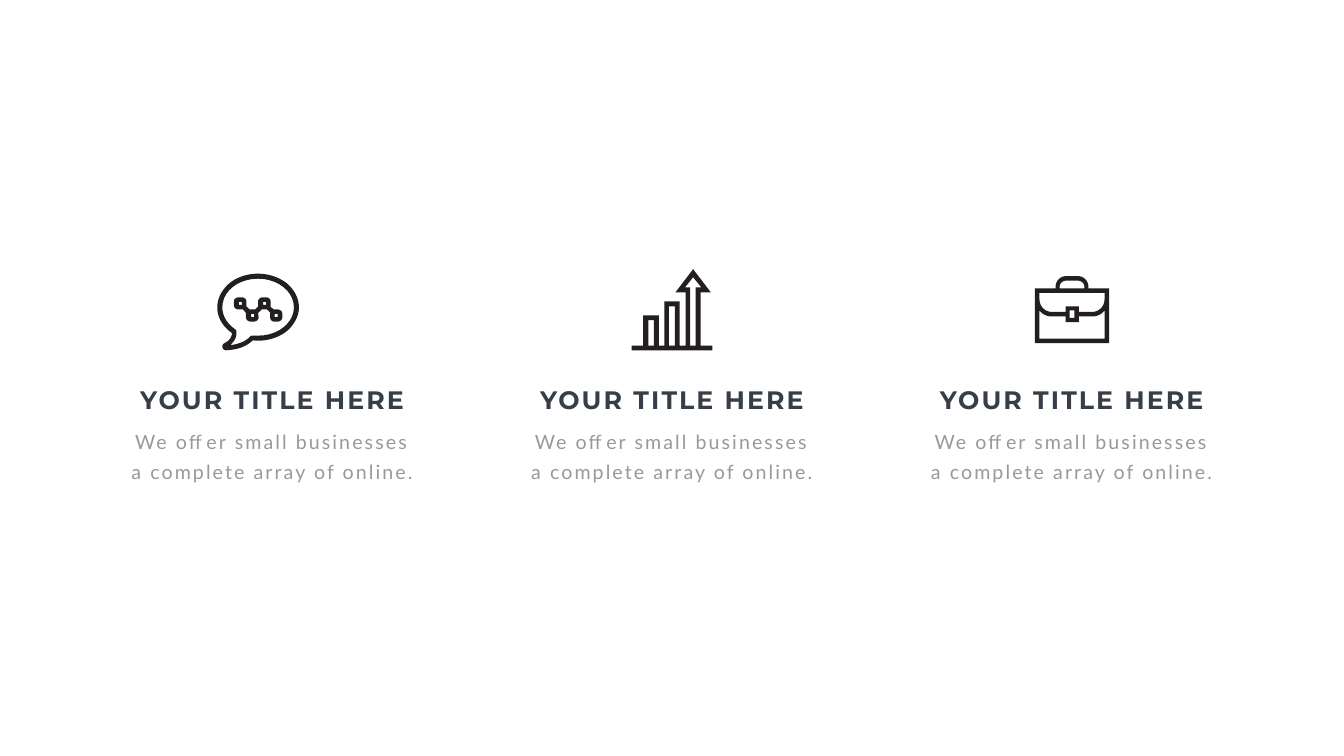
"""Build a slide with three icon-topped service columns."""
from pptx import Presentation
from pptx.dml.color import RGBColor
from pptx.enum.text import MSO_AUTO_SIZE, PP_ALIGN
from pptx.util import Inches, Pt

COLORS = {"icon": "231F20", "title": "363E48", "body": "999999"}
CURVE_STEPS = 10


def box(left, top, right, bottom):
    return [(left, top), (right, top), (right, bottom), (left, bottom)]


def draw_icon(slide, contours):
    builder = None
    for start, *segments in contours:
        points = [start]
        for segment in segments:
            if len(segment) == 2:
                points.append(segment)
                continue
            x0, y0 = points[-1]
            x1, y1, x2, y2, x3, y3 = segment
            for step in range(1, CURVE_STEPS + 1):
                t = step / CURVE_STEPS
                a, b, c, d = (1 - t) ** 3, 3 * t * (1 - t) ** 2, 3 * t * t * (1 - t), t ** 3
                points.append((a * x0 + b * x1 + c * x2 + d * x3,
                               a * y0 + b * y1 + c * y2 + d * y3))
        corners = [(Inches(x), Inches(y)) for x, y in points]
        if builder is None:
            builder = slide.shapes.build_freeform(*corners[0], scale=1.0)
        else:
            builder.move_to(*corners[0])
        builder.add_line_segments(corners[1:], close=True)
    icon = builder.convert_to_shape()
    icon.shadow.inherit = False
    icon.fill.solid()
    icon.fill.fore_color.rgb = RGBColor.from_string(COLORS["icon"])
    icon.line.fill.background()


prs = Presentation()
prs.slide_width, prs.slide_height = Inches(26.66), Inches(15)
slide = prs.slides.add_slide(prs.slide_layouts[6])

texts = [
    ("YOUR TITLE HERE", 7.57, 5.86, 0.71, 0.1, 0.05, "Montserrat", 36, True, "title", None),
    ("We offer small businesses a complete array of online.",
     8.28, 6.2, 1.38, 0.24, 0.12, "Lato", 28, False, "body", Pt(43)),
]
for wording, top, width, height, side, edge, font, size, bold, color, spacing in texts:
    for column in range(3):
        center = 5.4 + 7.93 * column
        frame = slide.shapes.add_textbox(
            Inches(center - width / 2), Inches(top), Inches(width), Inches(height)).text_frame
        frame.word_wrap = True
        frame.auto_size = MSO_AUTO_SIZE.SHAPE_TO_FIT_TEXT
        frame.margin_left = frame.margin_right = Inches(side)
        frame.margin_top = frame.margin_bottom = Inches(edge)
        paragraph = frame.paragraphs[0]
        paragraph.alignment = PP_ALIGN.CENTER
        paragraph.line_spacing = spacing
        run = paragraph.add_run()
        run.text = wording
        run.font.name, run.font.size, run.font.bold = font, Pt(size), bold
        run.font.color.rgb = RGBColor.from_string(COLORS[color])
        run.font._element.set("spc", "300")

bubble_inside = [
    (5.12, 6.66), (5.08, 6.66, 5.05, 6.66, 5.01, 6.66), (4.99, 6.66, 4.98, 6.66, 4.96, 6.68),
    (4.9, 6.74, 4.82, 6.79, 4.74, 6.81), (4.69, 6.83, 4.63, 6.84, 4.57, 6.85),
    (4.59, 6.83, 4.61, 6.8, 4.63, 6.78), (4.67, 6.73, 4.69, 6.67, 4.69, 6.62), (4.69, 6.58),
    (4.69, 6.56, 4.68, 6.54, 4.66, 6.53), (4.5, 6.42, 4.41, 6.26, 4.41, 6.1),
    (4.41, 5.78, 4.72, 5.53, 5.12, 5.53), (5.51, 5.53, 5.83, 5.78, 5.83, 6.1),
    (5.83, 6.41, 5.51, 6.66, 5.12, 6.66),
]
bubble_outside = [
    (5.69, 5.62), (5.53, 5.5, 5.33, 5.43, 5.12, 5.43), (4.9, 5.43, 4.7, 5.5, 4.55, 5.62),
    (4.4, 5.75, 4.31, 5.92, 4.31, 6.1), (4.31, 6.29, 4.41, 6.47, 4.59, 6.6),
    (4.6, 6.61, 4.6, 6.61, 4.6, 6.62), (4.6, 6.67, 4.56, 6.76, 4.45, 6.81),
    (4.43, 6.82, 4.41, 6.85, 4.41, 6.87), (4.41, 6.89, 4.42, 6.91, 4.43, 6.93),
    (4.45, 6.94, 4.46, 6.95, 4.49, 6.95), (4.65, 6.94, 4.85, 6.91, 5.02, 6.75),
    (5.05, 6.76, 5.08, 6.76, 5.12, 6.76), (5.33, 6.76, 5.54, 6.69, 5.69, 6.57),
    (5.84, 6.44, 5.93, 6.27, 5.93, 6.1), (5.93, 5.92, 5.84, 5.75, 5.69, 5.62),
]
draw_icon(slide, [bubble_inside, bubble_outside])

zigzag = [
    (5.51, 6.14), (5.43, 6.14), (5.36, 6.08), (5.37, 6.06), (5.37, 5.98),
    (5.37, 5.94, 5.33, 5.9, 5.28, 5.9), (5.21, 5.9), (5.16, 5.9, 5.12, 5.94, 5.12, 5.98),
    (5.12, 6.08), (5.06, 6.14), (4.95, 6.14), (4.89, 6.08), (4.89, 5.98),
    (4.89, 5.94, 4.85, 5.9, 4.8, 5.9), (4.73, 5.9), (4.68, 5.9, 4.64, 5.94, 4.64, 5.98),
    (4.64, 6.06), (4.64, 6.1, 4.68, 6.14, 4.73, 6.14), (4.82, 6.14), (4.88, 6.21), (4.88, 6.3),
    (4.88, 6.34, 4.92, 6.38, 4.97, 6.38), (5.04, 6.38), (5.09, 6.38, 5.13, 6.34, 5.13, 6.3),
    (5.12, 6.21), (5.19, 6.14), (5.3, 6.14), (5.36, 6.2), (5.36, 6.3),
    (5.36, 6.34, 5.39, 6.38, 5.44, 6.38), (5.51, 6.38), (5.56, 6.38, 5.6, 6.34, 5.6, 6.3),
    (5.6, 6.22), (5.6, 6.18, 5.56, 6.14, 5.51, 6.14),
]
nodes = [(4.74, 5.99), (4.98, 6.23), (5.22, 5.99), (5.45, 6.23)]
draw_icon(slide, [zigzag] + [box(x, y, x + 0.06, y + 0.06) for x, y in nodes])

case_flap = [
    (21.66, 6.19), (21.4, 6.19), (21.4, 6.08), (21.14, 6.08), (21.14, 6.19), (20.87, 6.19),
    (20.73, 6.19, 20.62, 6.08, 20.62, 5.94), (20.62, 5.81), (21.91, 5.81), (21.91, 5.94),
    (21.91, 6.08, 21.8, 6.19, 21.66, 6.19),
]
case_front = [
    (21.91, 6.72), (20.62, 6.72), (20.62, 6.16), (20.68, 6.24, 20.77, 6.28, 20.87, 6.28),
    (21.14, 6.28), (21.14, 6.39), (21.4, 6.39), (21.4, 6.28), (21.66, 6.28),
    (21.76, 6.28, 21.85, 6.24, 21.91, 6.16),
]
handle_gap = [
    (21.02, 5.69), (21.02, 5.62, 21.08, 5.57, 21.14, 5.57), (21.39, 5.57),
    (21.45, 5.57, 21.51, 5.62, 21.51, 5.69), (21.51, 5.72), (21.02, 5.72),
]
case_outside = [
    (21.59, 5.72), (21.59, 5.69), (21.59, 5.58, 21.5, 5.48, 21.39, 5.48), (21.14, 5.48),
    (21.03, 5.48, 20.94, 5.58, 20.94, 5.69), (20.94, 5.72), (20.53, 5.72), (20.53, 6.81),
    (22, 6.81), (22, 5.72),
]
clasp_gap = box(21.22, 6.16, 21.31, 6.31)
draw_icon(slide, [case_flap, clasp_gap, case_front, handle_gap, case_outside])

arrow_gap = [
    (13.59, 5.7), (13.75, 5.5), (13.91, 5.7), (13.8, 5.7), (13.8, 6.86), (13.69, 6.86),
    (13.69, 5.7),
]
growth_outside = [
    (13.9, 6.86), (13.9, 5.8), (14.1, 5.8), (13.75, 5.34), (13.4, 5.8), (13.6, 5.8),
    (13.6, 6.86), (13.48, 6.86), (13.48, 5.98), (13.18, 5.98), (13.18, 6.86), (13.07, 6.86),
    (13.07, 6.26), (12.76, 6.26), (12.76, 6.86), (12.53, 6.86), (12.53, 6.95), (14.13, 6.95),
    (14.13, 6.86),
]
bar_gaps = [box(12.86, 6.35, 12.97, 6.86), box(13.27, 6.08, 13.39, 6.86)]
draw_icon(slide, bar_gaps + [arrow_gap, growth_outside])

prs.save("out.pptx")
